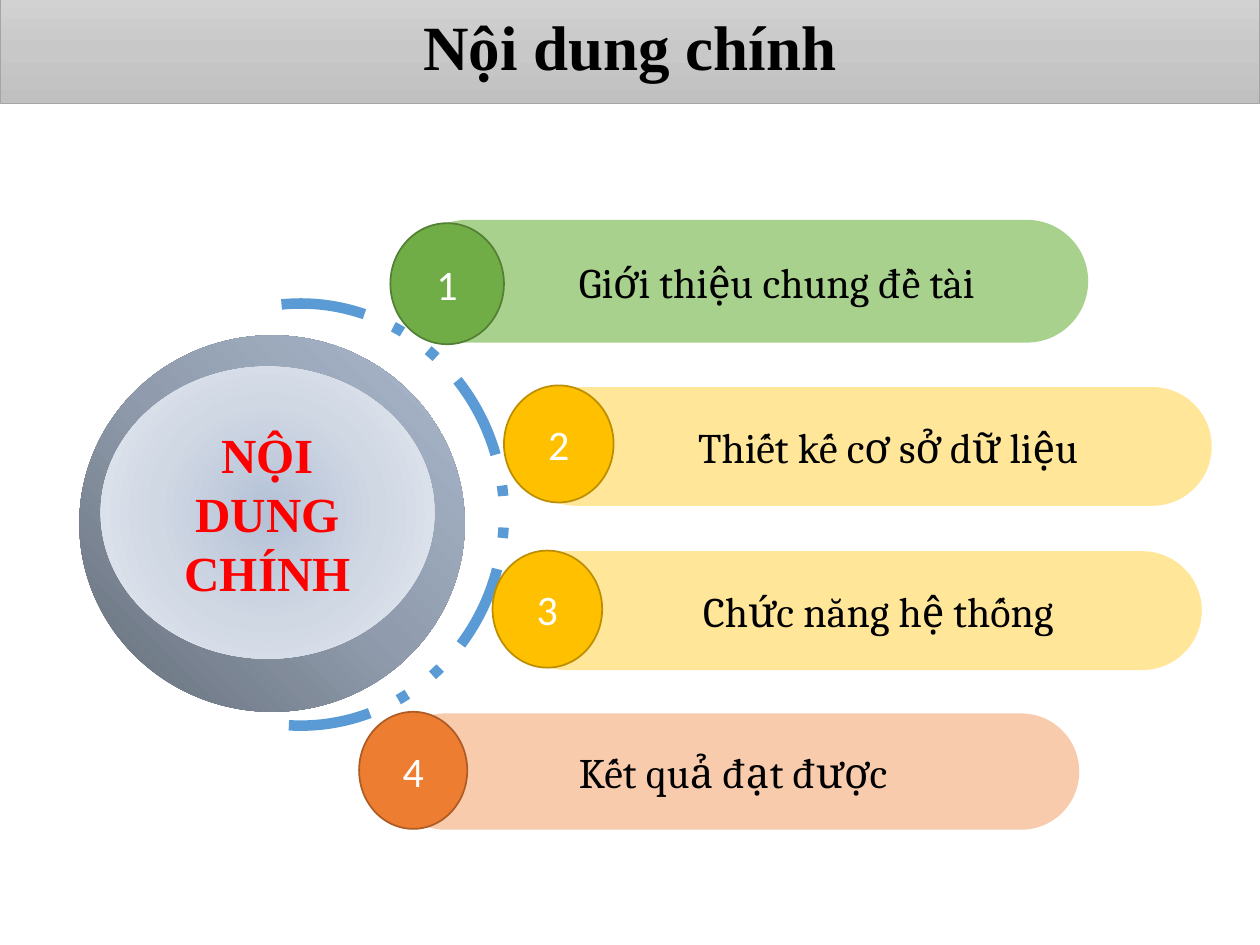
"""Build a contents slide with four numbered bars around a central disc."""
from lxml import etree
from pptx import Presentation
from pptx.dml.color import RGBColor
from pptx.enum.dml import MSO_LINE
from pptx.enum.shapes import MSO_SHAPE as Shape
from pptx.enum.text import MSO_ANCHOR, PP_ALIGN
from pptx.oxml.ns import qn
from pptx.util import Cm, Pt


def add_form(kind, left, top, width, height, fill=None, line=None, weight=1):
    form = page.shapes.add_shape(kind, Cm(left), Cm(top), Cm(width), Cm(height))
    form.shadow.inherit = False
    if isinstance(fill, list):
        form.fill.gradient()
        stops = form._element.spPr.find(qn("a:gradFill")).find(qn("a:gsLst"))
        for stop in list(stops):
            stops.remove(stop)
        for position, color in zip((0, 50000, 100000), fill):
            stop = etree.SubElement(stops, qn("a:gs"), pos=str(position))
            etree.SubElement(stop, qn("a:srgbClr"), val=color)
    elif fill:
        form.fill.solid()
        form.fill.fore_color.rgb = RGBColor.from_string(fill)
    else:
        form.fill.background()
    if line:
        form.line.color.rgb = RGBColor.from_string(line)
        form.line.width = Pt(weight)
    else:
        form.line.fill.background()
    return form


def write(form, text, font, size, color, bold=False):
    frame = form.text_frame
    frame.word_wrap = True
    frame.vertical_anchor = MSO_ANCHOR.MIDDLE
    para = frame.paragraphs[0]
    para.text = text
    para.alignment = PP_ALIGN.CENTER
    para.font.name = font
    para.font.size = Pt(size)
    para.font.bold = bold
    para.font.color.rgb = RGBColor.from_string(color)
    return para


deck = Presentation()
deck.slide_width, deck.slide_height = Cm(25.4), Cm(19.05)
page = deck.slides.add_slide(deck.slide_layouts[6])

banner = add_form(Shape.RECTANGLE, 0, -0.05, 25.4, 2.13,
                  ["D2D2D2", "C8C8C8", "C0C0C0"], "A5A5A5", 0.5)
banner.fill.gradient_angle = 270
title = write(banner, "Nội dung chính", "Times New Roman", 36, "000000", True)
title.line_spacing = 0.9
frame = banner.text_frame
frame.margin_left = frame.margin_right = Cm(0.18)
frame.margin_top = frame.margin_bottom = Cm(0.1)

rim = add_form(Shape.OVAL, 1.6, 6.76, 7.77, 7.59, ["656E79", "909CAD", "ABB9CD"])
rim.fill.gradient_angle = 45

disc = add_form(Shape.OVAL, 2.03, 7.39, 6.73, 5.89, ["B4C1D6", "D0D8E4", "E8EBF1"])
gradient = disc._element.spPr.find(qn("a:gradFill"))
gradient.remove(gradient.find(qn("a:lin")))
focus = etree.SubElement(gradient, qn("a:path"), path="circle")
etree.SubElement(focus, qn("a:fillToRect"), l="50000", t="50000", r="50000", b="50000")
write(disc, "NỘI DUNG CHÍNH", "Times New Roman", 28, "FF0000", True)

arc = add_form(Shape.ARC, 1.96, 6.12, 8.2, 8.51, line="5B9BD5", weight=6)
arc.adjustments[0], arc.adjustments[1] = 158.895, 55.908
arc.line.dash_style = MSO_LINE.DASH_DOT_DOT

green = ("A9D18E", "70AD47", "538035")
yellow = ("FFE699", "FFC000", "BD8E00")
orange = ("F8CBAD", "ED7D31", "AF5C24")
items = [
    ("Giới thiệu chung đề tài", green, 1.2, (8.2, 4.45, 13.72, 2.44), (7.87, 4.5, 2.29, 2.44)),
    ("Thiết kế cơ sở dữ liệu", yellow, 0.96, (10.44, 7.82, 13.97, 2.36), (10.16, 7.77, 2.21, 2.36)),
    ("Chức năng hệ thống", yellow, 0.96, (10.24, 11.13, 13.97, 2.36), (9.93, 11.1, 2.21, 2.36)),
    ("Kết quả đạt được", orange, 0, (7.82, 14.4, 13.92, 2.31), (7.24, 14.35, 2.18, 2.36)),
]
for number, (text, colors, inset, bar_place, badge_place) in enumerate(items, 1):
    pale, strong, edge = colors
    bar = add_form(Shape.ROUNDED_RECTANGLE, *bar_place, pale, pale)
    bar.adjustments[0] = 0.5
    write(bar, text, "Cambria", 24, "000000")
    bar.text_frame.margin_left = Cm(0.25 + inset)
    badge = add_form(Shape.OVAL, *badge_place, strong, edge)
    write(badge, str(number), "Calibri", 24, "FFFFFF")

deck.save("out.pptx")
